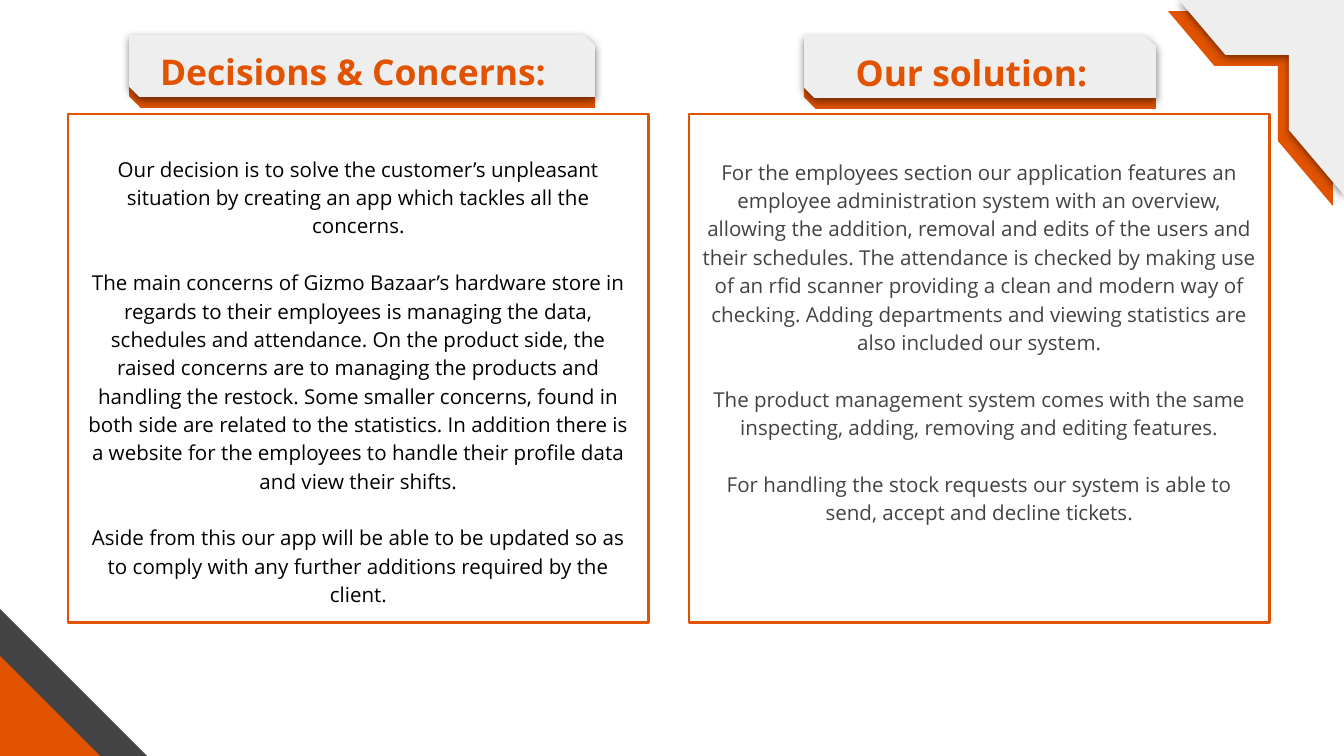
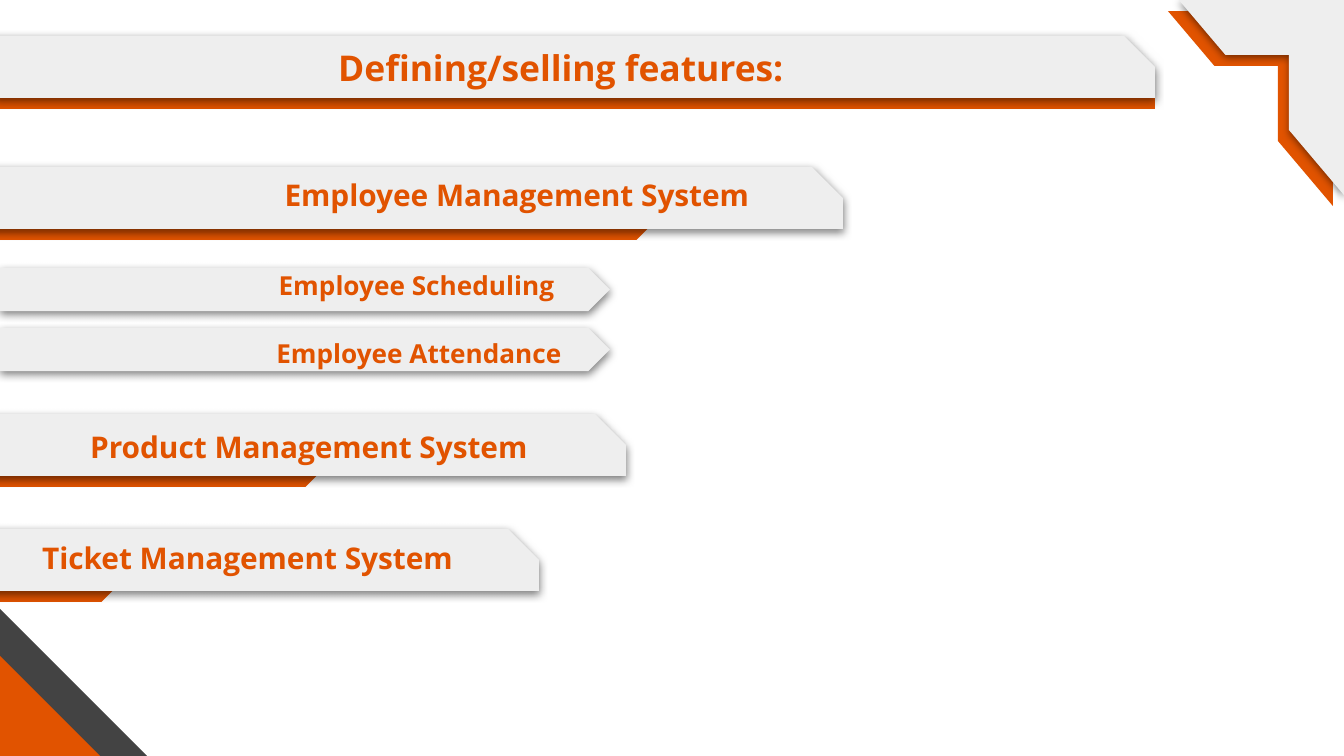
from lxml import etree
from pptx import Presentation, util as u
from pptx.dml.color import RGBColor
from pptx.enum import shapes, text
from pptx.oxml import ns

PX = 914400 / 134.4  # EMU per pixel
FONT = "Open Sans"
ORANGE, LIGHT, DARK, BLACK = "E15300", "EEEEEE", "434343", "000000"
SNIP = shapes.MSO_SHAPE.SNIP_2_DIAG_RECTANGLE
FRAME = shapes.MSO_SHAPE.HALF_FRAME
TRIANGLE = shapes.MSO_SHAPE.RIGHT_TRIANGLE
PLATE = shapes.MSO_SHAPE.PENTAGON
INSET = 13.44


def add_shape(s, kind, box, fill, adj=(), shadow=False):
    sp = s.shapes.add_shape(kind, *(round(v * PX) for v in box))
    sp.shadow.inherit = False
    sp.line.fill.background()
    sp.fill.solid()
    sp.fill.fore_color.rgb = RGBColor.from_string(fill)
    for i, value in enumerate(adj):
        sp.adjustments[i] = value
    if shadow:
        effects = sp._element.spPr.find(ns.qn("a:effectLst"))
        outer = etree.SubElement(effects, ns.qn("a:outerShdw"), blurRad=str(u.Pt(4.5)),
                                 dist=str(u.Pt(1.5)), dir="5400000", algn="bl", rotWithShape="0")
        color = etree.SubElement(outer, ns.qn("a:srgbClr"), val=BLACK)
        etree.SubElement(color, ns.qn("a:alpha"), val="50000")
    return sp


def add_text(s, box, paras, size, color, bold=False, top=INSET):
    sp = s.shapes.add_textbox(*(round(v * PX) for v in box))
    tf = sp.text_frame
    tf.word_wrap = True
    tf.vertical_anchor = text.MSO_ANCHOR.BOTTOM if bold else text.MSO_ANCHOR.TOP
    tf.margin_left = tf.margin_right = tf.margin_bottom = round(INSET * PX)
    tf.margin_top = round(top * PX)
    for i, words in enumerate(paras):
        p = tf.add_paragraph() if i else tf.paragraphs[0]
        p.alignment = text.PP_ALIGN.CENTER
        if not bold:
            p.line_spacing = u.Pt(15.2)
            p.space_before = u.Pt(15.2 if i else 0)
        r = p.add_run()
        r.text = words
        r.font.name, r.font.size, r.font.bold = FONT, u.Pt(size), bold
        r.font.color.rgb = RGBColor.from_string(color)
    return sp


prs = Presentation()
prs.slide_width, prs.slide_height = round(1344 * PX), round(756 * PX)

# Shared corner decoration
slides = [prs.slides.add_slide(prs.slide_layouts[6]) for _ in range(2)]
for s in slides:
    add_shape(s, FRAME, (1168, 11, 165, 195), ORANGE, (0.333, 0.333))
    add_shape(s, FRAME, (1179, 0, 165, 195), LIGHT, (0.333, 0.333), shadow=True)
    for sp in s.shapes:
        sp._element.spPr.find(ns.qn("a:xfrm")).set("flipH", "1")
    add_shape(s, TRIANGLE, (0, 609, 147, 147), DARK)
    add_shape(s, TRIANGLE, (0, 656, 101, 101), ORANGE)

# Title bands: slide, left, top, light width, light snip, orange width, orange snips,
# then the label's box, words and size
bands = [
    (0, 129, 35, 466, 0.167, 466, (0, 0.167), (112, 50, 482, 56), "Decisions & Concerns:", 19),
    (0, 804, 36, 352, 0.167, 352, (0, 0.167), (799, 36, 345, 71), "Our solution:", 19),
    (1, -34, 36, 1189, 0.5, 1189, (0, 0.43), (243, 31, 636, 71), "Defining/selling features:", 19),
    (1, -43, 167, 886, 0.5, 715, (0.5, 0), (239, 183, 556, 43), "Employee Management System", 16),
    (1, -199, 414, 825, 0.5, 540, (0.5, 0.5), (31, 426, 556, 52), "Product Management System", 16),
    (1, -71, 529, 610, 0.5, 208, (0.5, 0.389), (-9, 546, 513, 43), "Ticket Management System", 16),
]
for n, x, y, w, snip, under_w, under_snips, box, words, size in bands:
    add_shape(slides[n], SNIP, (x, y + 2, under_w, 71), ORANGE, under_snips)
    add_shape(slides[n], SNIP, (x, y, w, 62), LIGHT, (0, snip), shadow=True)
    add_text(slides[n], box, [words], size, ORANGE, bold=True)

# Slide 1: framed columns
concerns = [
    "Our decision is to solve the customer’s unpleasant situation by creating an app which "
    "tackles all the concerns.",
    "The main concerns of Gizmo Bazaar’s hardware store in regards to their employees is "
    "managing the data, schedules and attendance. On the product side, the raised concerns are "
    "to managing the products and handling the restock. Some smaller concerns, found in both "
    "side are related to the statistics. In addition there is a website for the employees to "
    "handle their profile data and view their shifts.",
    "Aside from this our app will be able to be updated so as to comply with any further "
    "additions required by the client.",
]
solution = [
    "For the employees section our application features an employee administration system with "
    "an overview, allowing the addition, removal and edits of the users and their schedules. "
    "The attendance is checked by making use of an rfid scanner providing a clean and modern "
    "way of checking. Adding departments and viewing statistics are also included our system.",
    "The product management system comes with the same inspecting, adding, removing and "
    "editing features.",
    "For handling the stock requests our system is able to send, accept and decline tickets.",
]
for x, paras, color, top in ((68, concerns, BLACK, 39), (689, solution, DARK, 42)):
    sp = add_text(slides[0], (x, 114, 581, 509), paras, 11, color, top=top)
    sp.line.color.rgb = RGBColor.from_string(ORANGE)
    sp.line.width = u.Pt(1.5)

# Slide 2: arrow bars under the employee system
for y, box, words in ((268, (207, 271, 419, 43), "Employee Scheduling"),
                      (328, (228, 339, 382, 43), "Employee Attendance")):
    add_shape(slides[1], PLATE, (0, y, 610, 43), LIGHT, (0.5,), shadow=True)
    add_text(slides[1], box, [words], 14, ORANGE, bold=True)

prs.save("out.pptx")
